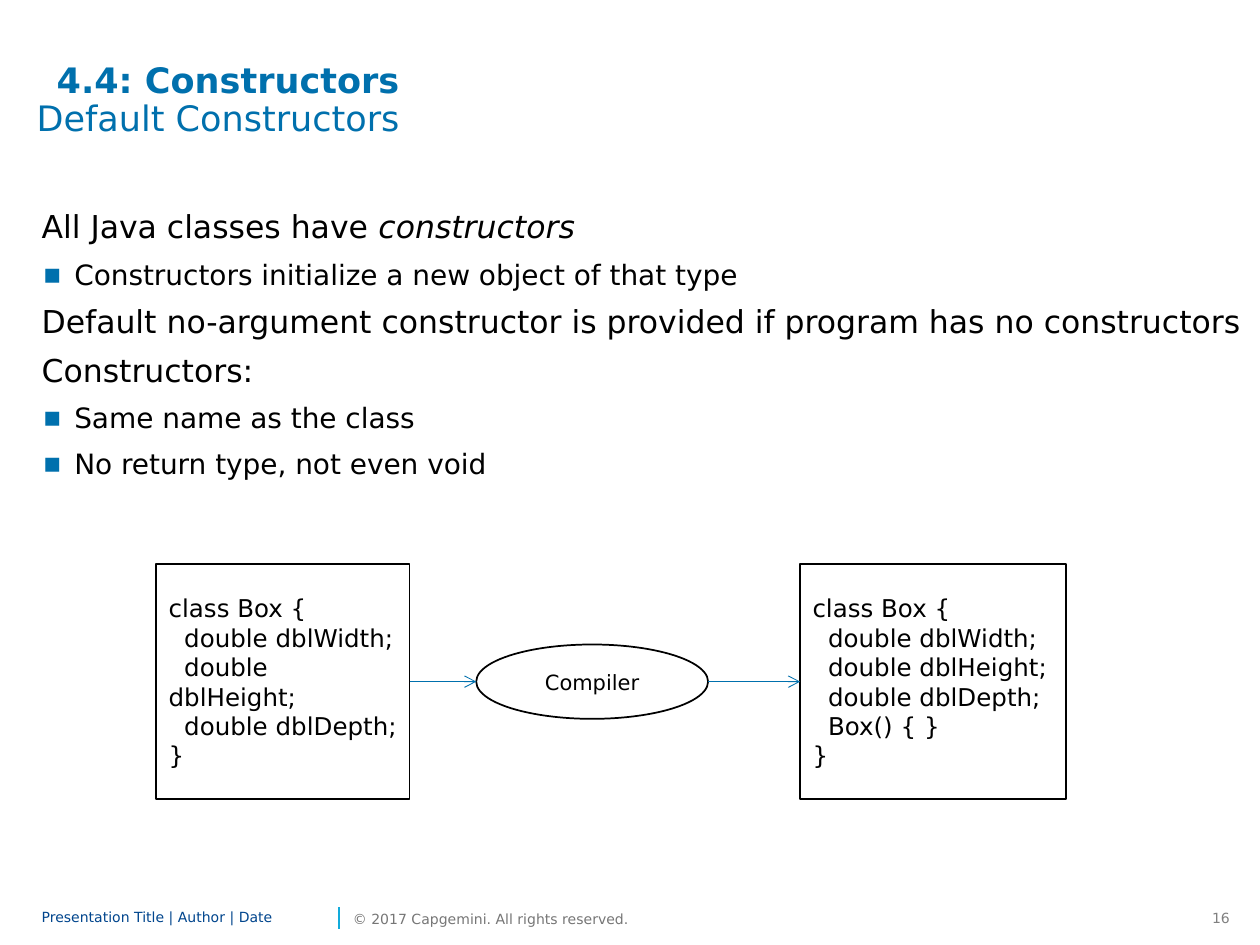
from dataclasses import dataclass

from lxml import etree
from pptx import Presentation
from pptx.dml.color import RGBColor
from pptx.enum.shapes import MSO_CONNECTOR, MSO_SHAPE
from pptx.enum.text import MSO_ANCHOR, MSO_AUTO_SIZE, PP_ALIGN
from pptx.oxml.ns import qn
from pptx.util import Inches, Pt

LEFT, CENTER, RIGHT = PP_ALIGN.LEFT, PP_ALIGN.CENTER, PP_ALIGN.RIGHT
TOP, MIDDLE = MSO_ANCHOR.TOP, MSO_ANCHOR.MIDDLE
NO_AUTOFIT = MSO_AUTO_SIZE.NONE
RECTANGLE, OVAL = MSO_SHAPE.RECTANGLE, MSO_SHAPE.OVAL
STRAIGHT = MSO_CONNECTOR.STRAIGHT


@dataclass(frozen=True)
class Theme:
    font: str = "DejaVu Sans"
    text: str = "000000"
    paper: str = "FFFFFF"
    accent: str = "0070AD"
    footer: str = "00458D"
    copyright: str = "767676"
    number: str = "808080"
    divider: str = "12ABDB"
    title_size: int = 20
    body_sizes: tuple = (18, 16)
    body_spacing: tuple = (22, 20)
    code_size: int = 14
    label_size: int = 12
    footer_size: int = 8


class SlideBuilder:
    """Draws styled elements on the current slide."""

    def __init__(self, slide, theme):
        self.slide = slide
        self.theme = theme

    def style(self, paragraph, size, color, align=LEFT):
        paragraph.alignment = align
        for run in paragraph.runs:
            run.font.name = self.theme.font
            run.font.size = Pt(size)
            run.font.color.rgb = RGBColor.from_string(color)

    def frame(self, shape, inset_x, inset_y, anchor, wrap=True):
        frame = shape.text_frame
        frame.word_wrap = wrap
        frame.auto_size = NO_AUTOFIT
        frame.vertical_anchor = anchor
        frame.margin_left = frame.margin_right = Inches(inset_x)
        frame.margin_top = frame.margin_bottom = Inches(inset_y)
        return frame

    def place(self, shape, box):
        shape.left, shape.top, shape.width, shape.height = map(Inches, box)

    def title(self, box, section, heading):
        shape = self.slide.shapes.title
        self.place(shape, box)
        frame = self.frame(shape, 0.1, 0.05, TOP)
        frame.text = f"{section}\n{heading}"
        for paragraph, indent, bold in zip(frame.paragraphs, (0.35, 0.19), (True, False)):
            paragraph._p.get_or_add_pPr().set("marL", str(Inches(indent)))
            paragraph.line_spacing = 0.9
            self.style(paragraph, self.theme.title_size, self.theme.accent)
            paragraph.runs[0].font.bold = bold

    def bullet(self, paragraph, level):
        properties = paragraph._p.get_or_add_pPr()
        properties.set("marL", str(Inches(0.26) if level else 0))
        properties.set("indent", str(Inches(-0.25) if level else 0))
        if not level:
            etree.SubElement(properties, qn("a:buNone"))
            return
        color = etree.SubElement(properties, qn("a:buClr"))
        etree.SubElement(color, qn("a:srgbClr"), val=self.theme.accent)
        etree.SubElement(properties, qn("a:buFont"), typeface=self.theme.font)
        etree.SubElement(properties, qn("a:buChar"), char="▪")

    def body(self, box, items):
        shape = self.slide.placeholders[1]
        self.place(shape, box)
        frame = self.frame(shape, 0, 0, TOP)
        frame.text = "\n".join(text for level, text, emphasis in items)
        for paragraph, (level, text, emphasis) in zip(frame.paragraphs, items):
            paragraph.level = level
            paragraph.line_spacing = Pt(self.theme.body_spacing[level])
            paragraph.space_before = Pt(0)
            paragraph.space_after = Pt(6)
            self.bullet(paragraph, level)
            if emphasis:
                run = paragraph.add_run()
                run.text = emphasis
                run.font.italic = True
            self.style(paragraph, self.theme.body_sizes[level], self.theme.text)

    def node(self, kind, box, text, size, align=LEFT):
        shape = self.slide.shapes.add_shape(kind, *map(Inches, box))
        shape.shadow.inherit = False
        shape.fill.solid()
        shape.fill.fore_color.rgb = RGBColor.from_string(self.theme.paper)
        shape.line.color.rgb = RGBColor.from_string(self.theme.text)
        shape.line.width = Pt(1)
        frame = self.frame(shape, 0.1, 0.05, MIDDLE)
        frame.text = text
        for paragraph in frame.paragraphs:
            self.style(paragraph, size, self.theme.text, align)

    def line(self, start, end, color, width, arrow=False):
        points = map(Inches, (*start, *end))
        connector = self.slide.shapes.add_connector(STRAIGHT, *points)
        connector.line.color.rgb = RGBColor.from_string(color)
        connector.line.width = Pt(width)
        properties = connector._element.spPr
        if arrow:
            etree.SubElement(properties.find(qn("a:ln")), qn("a:tailEnd"), type="arrow")
        etree.SubElement(properties, qn("a:effectLst"))

    def footer_text(self, box, text, color, align=LEFT, inset=(0, 0), anchor=MIDDLE):
        shape = self.slide.shapes.add_textbox(*map(Inches, box))
        frame = self.frame(shape, *inset, anchor, wrap=False)
        frame.text = text
        self.style(frame.paragraphs[0], self.theme.footer_size, color, align)


def main():
    presentation = Presentation()
    presentation.slide_width, presentation.slide_height = Inches(10), Inches(7.5)
    slide = presentation.slides.add_slide(presentation.slide_layouts[1])
    theme = Theme()
    builder = SlideBuilder(slide, theme)

    footer_top, footer_height = 7.17, 0.24
    builder.footer_text((9.47, footer_top, 0.39, footer_height), "16", theme.number,
                        RIGHT, (0.1, 0.05), TOP)
    builder.line((2.69, 7.37), (2.69, 7.2), theme.divider, 1)
    builder.footer_text((0.33, footer_top - 0.01, 2.32, footer_height),
                        "Presentation Title | Author | Date", theme.footer)
    builder.footer_text((2.8, footer_top, 1.82, footer_height),
                        "© 2017 Capgemini. All rights reserved.", theme.copyright)

    builder.title((0, 0.45, 9.33, 0.94), "4.4: Constructors", "Default Constructors")
    builder.body((0.33, 1.64, 9.67, 5.08), [
        (0, "All Java classes have ", "constructors"),
        (1, "Constructors initialize a new object of that type", ""),
        (0, "Default no-argument constructor is provided if program has no constructors", ""),
        (0, "Constructors:", ""),
        (1, "Same name as the class", ""),
        (1, "No return type, not even void", ""),
    ])

    fields = ["  double dblWidth;", "  double dblHeight;", "  double dblDepth;"]
    source = "\n".join(["class Box {", *fields, "}"])
    compiled = "\n".join(["class Box {", *fields, "  Box() { }", "}"])
    middle = 5.41
    nodes = [
        (RECTANGLE, 1.24, 2.01, 1.87, source, theme.code_size, LEFT),
        (OVAL, 3.78, 1.84, 0.59, "Compiler", theme.label_size, CENTER),
        (RECTANGLE, 6.35, 2.11, 1.87, compiled, theme.code_size, LEFT),
    ]
    for kind, left, width, height, text, size, align in nodes:
        builder.node(kind, (left, middle - height / 2, width, height), text, size, align)
    for (_, left, width, *_), (_, next_left, *_) in zip(nodes, nodes[1:]):
        builder.line((left + width, middle), (next_left, middle), theme.accent, 0.5, arrow=True)

    presentation.save("out.pptx")


if __name__ == "__main__":
    main()
